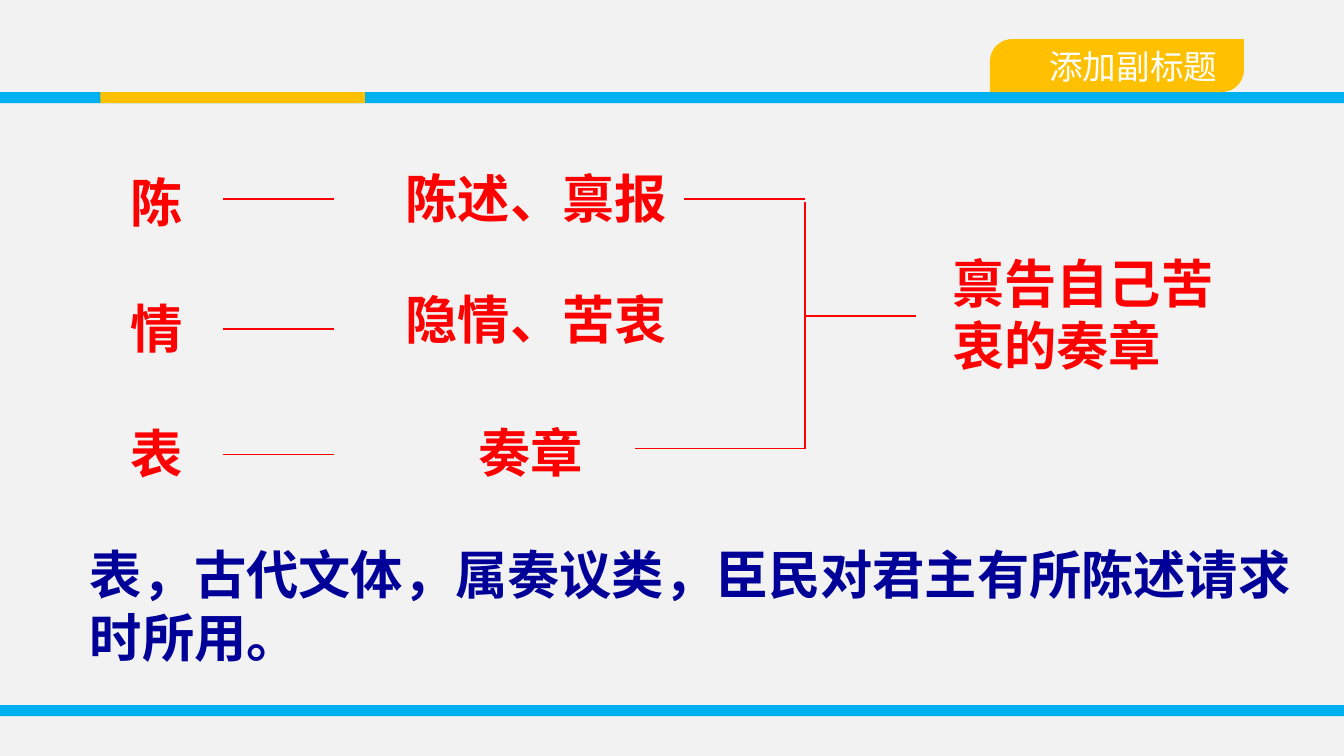
from lxml import etree
from pptx import Presentation
from pptx.dml.color import RGBColor
from pptx.enum.shapes import MSO_CONNECTOR, MSO_SHAPE
from pptx.enum.text import MSO_ANCHOR, PP_ALIGN
from pptx.oxml.ns import qn
from pptx.util import Cm, Pt

RECTANGLE = MSO_SHAPE.RECTANGLE
TAB_SHAPE = MSO_SHAPE.ROUND_2_DIAG_RECTANGLE
STRAIGHT = MSO_CONNECTOR.STRAIGHT
LEFT, CENTER, RIGHT = PP_ALIGN.LEFT, PP_ALIGN.CENTER, PP_ALIGN.RIGHT
TOP = MSO_ANCHOR.TOP

FONT = "Arial"
BLANK_LAYOUT = 6
WIDTH, HEIGHT = 25.4, 14.29
BAR_HEIGHT = 0.21
COLORS = {
    "background": "F2F2F2",
    "bar": "00B0F0",
    "accent": "FFC000",
    "diagram": "FF0000",
    "note": "000099",
    "tab_text": "FFFFFF",
}


def color(name):
    return RGBColor.from_string(COLORS[name])


def add_block(slide, kind, left, top, width, height, fill):
    shape = slide.shapes.add_shape(kind, Cm(left), Cm(top), Cm(width), Cm(height))
    shape.shadow.inherit = False
    shape.fill.solid()
    shape.fill.fore_color.rgb = color(fill)
    shape.line.fill.background()
    return shape


def write(text_frame, text, size, ink, bold=False, align=LEFT, gap=0):
    """Fill a frame; each line of the text becomes a paragraph."""
    text_frame.word_wrap = True
    text_frame.vertical_anchor = TOP
    text_frame.text = text
    for index, paragraph in enumerate(text_frame.paragraphs):
        paragraph.alignment = align
        if index and gap:
            paragraph.space_before = Pt(gap)
        for run in paragraph.runs:
            run.font.name = FONT
            run.font.size = Pt(size)
            run.font.bold = bold
            run.font.color.rgb = color(ink)


def add_label(slide, text, left, top, width, height, ink="diagram", **options):
    box = slide.shapes.add_textbox(Cm(left), Cm(top), Cm(width), Cm(height))
    write(box.text_frame, text, 28, ink, bold=True, **options)


def add_line(slide, x1, y1, x2, y2):
    line = slide.shapes.add_connector(STRAIGHT, Cm(x1), Cm(y1), Cm(x2), Cm(y2))
    line.line.color.rgb = color("diagram")
    line.line.width = Pt(0.75)
    properties = line._element.find(qn("p:spPr"))
    etree.SubElement(properties, qn("a:effectLst"))


def add_frame(slide):
    # Bars across the slide, with the yellow section on the upper one
    for top in (13.33, 1.74):
        add_block(slide, RECTANGLE, 0, top, WIDTH, BAR_HEIGHT, "bar")
    add_block(slide, RECTANGLE, 1.9, 1.74, 5, BAR_HEIGHT, "accent")

    # Subtitle tab
    tab = add_block(slide, TAB_SHAPE, 18.71, 0.74, 4.8, 1, "accent")
    tab.adjustments[0] = 0.42
    tab.text_frame.margin_top = tab.text_frame.margin_bottom = 0
    tab.text_frame.margin_right = Cm(0.38)
    write(tab.text_frame, "添加副标题", 18, "tab_text", align=RIGHT)


def add_diagram(slide):
    # Title characters and their meanings
    add_label(slide, "陈\n情\n表", 2.21, 3.1, 1.47, 6.25, gap=33.5)
    add_label(slide, "陈述、禀报", 7.42, 3.02, 7.19, 1.45)
    add_label(slide, "隐情、苦衷", 7.42, 5.31, 7.62, 1.45)
    add_label(slide, "奏章", 7.42, 7.82, 5.21, 1.45, align=CENTER)
    for y in (3.76, 6.22, 8.59):
        add_line(slide, 4.22, y, 6.32, y)

    # Bracket leading to the combined meaning
    spine = 15.21
    add_line(slide, spine, 3.81, spine, 8.48)
    add_line(slide, 12.01, 8.48, spine, 8.48)
    add_line(slide, 12.93, 3.76, spine, 3.76)
    add_line(slide, spine, 5.97, 17.32, 5.97)
    add_label(slide, "禀告自己苦衷的奏章", 17.75, 4.62, 5.94, 2.64)


def main():
    presentation = Presentation()
    presentation.slide_width, presentation.slide_height = Cm(WIDTH), Cm(HEIGHT)
    slide = presentation.slides.add_slide(presentation.slide_layouts[BLANK_LAYOUT])
    slide.background.fill.solid()
    slide.background.fill.fore_color.rgb = color("background")

    add_frame(slide)
    add_diagram(slide)
    # Explanation below the diagram
    add_label(slide, "表，古代文体，属奏议类，臣民对君主有所陈述请求时所用。",
              1.45, 10.13, 23.47, 2.64, ink="note")
    presentation.save("out.pptx")


if __name__ == "__main__":
    main()
